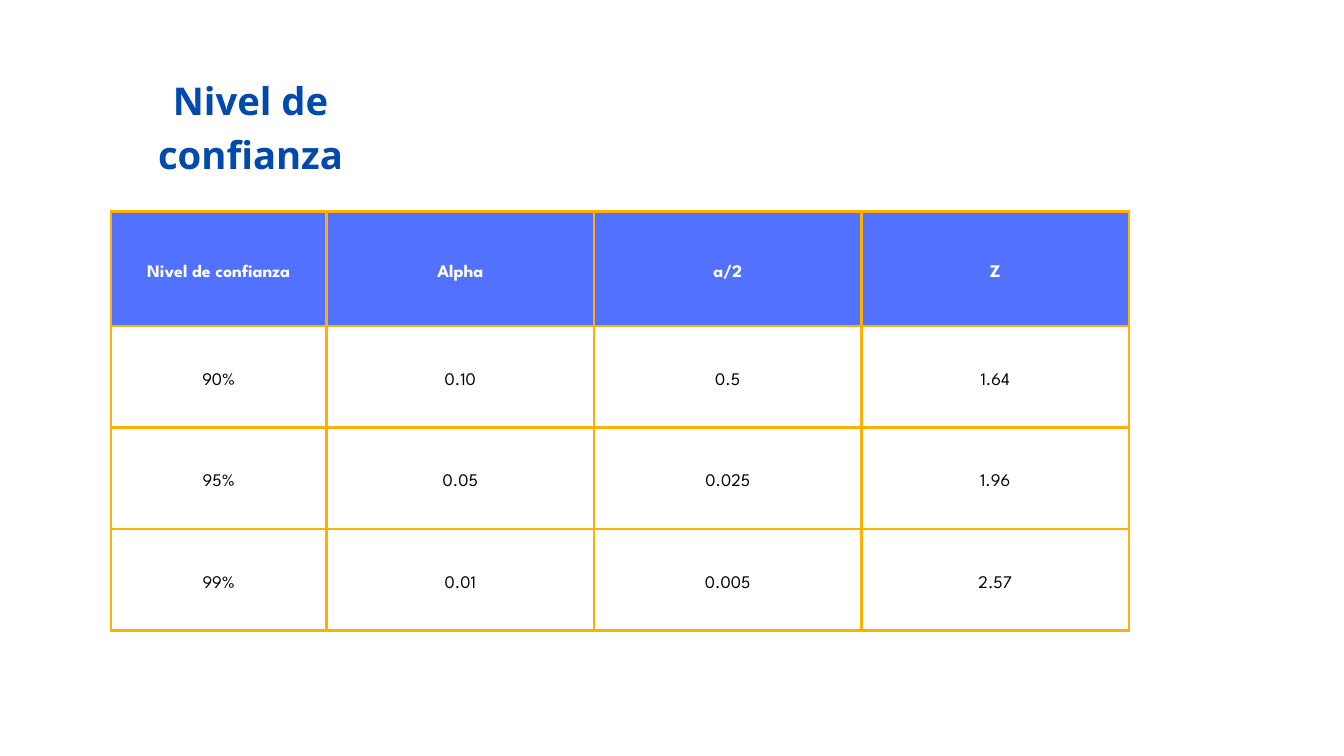
from dataclasses import dataclass

from lxml.etree import SubElement
from pptx import Presentation
from pptx.dml.color import RGBColor
from pptx.enum.text import MSO_ANCHOR as Anchor, MSO_AUTO_SIZE as AutoSize, PP_ALIGN as Align
from pptx.oxml.ns import qn
from pptx.util import Inches, Pt

LINE_RATIO = 1.4
BORDER_WIDTH = Pt(3)
CELL_MARGIN = Inches(0.21)
AMBER = "FFB000"
BLUE = "5271FF"
NAVY = "004AAD"


@dataclass(frozen=True)
class Level:
    confidence: str
    alpha: str
    half_alpha: str
    z: str

    def texts(self) -> tuple[str, ...]:
        return self.confidence, self.alpha, self.half_alpha, self.z


HEADER = Level("Nivel de confianza", "Alpha", "a/2", "Z")
LEVELS = [
    Level("90%", "0.10", "0.5", "1.64"),
    Level("95%", "0.05", "0.025", "1.96"),
    Level("99%", "0.01", "0.005", "2.57"),
]
COLUMN_WIDTHS = [3.21] + [3.98] * 3
ROW_HEIGHTS = [1.7] + [1.51] * len(LEVELS)


def color(value: str) -> RGBColor:
    return RGBColor.from_string(value)


def write(frame, text: str, *, size: float, font: str, ink: str, bold: bool = False) -> None:
    para = frame.paragraphs[0]
    para.alignment = Align.CENTER
    para.line_spacing = Pt(size * LINE_RATIO)
    para.space_before = para.space_after = Pt(0)
    span = para.add_run()
    span.text = text
    span.font.size = Pt(size)
    span.font.name = font
    span.font.bold = bold
    span.font.color.rgb = color(ink)


def draw_borders(cell) -> None:
    properties = cell._tc.get_or_add_tcPr()
    for side in ("lnL", "lnR", "lnT", "lnB"):
        line = SubElement(properties, qn(f"a:{side}"), w=str(BORDER_WIDTH))
        fill = SubElement(line, qn("a:solidFill"))
        SubElement(fill, qn("a:srgbClr"), val=AMBER)


def draw_cell(cell, text: str, is_header: bool) -> None:
    cell.margin_left = cell.margin_right = CELL_MARGIN
    cell.margin_top = cell.margin_bottom = CELL_MARGIN
    cell.vertical_anchor = Anchor.MIDDLE
    draw_borders(cell)
    if is_header:
        cell.fill.solid()
        cell.fill.fore_color.rgb = color(BLUE)
    else:
        cell.fill.background()
    write(cell.text_frame, text, size=19, font="League Spartan",
          ink="FFFFFF" if is_header else "000000", bold=is_header)


def draw_title(page, text: str) -> None:
    box = page.shapes.title
    box.left, box.top = Inches(1.12), Inches(1.04)
    box.width, box.height = Inches(5.22), Inches(0.76)
    frame = box.text_frame
    frame.margin_left = frame.margin_right = frame.margin_top = frame.margin_bottom = 0
    frame.vertical_anchor = Anchor.TOP
    frame.word_wrap = True
    frame.auto_size = AutoSize.SHAPE_TO_FIT_TEXT
    write(frame, text, size=41, font="Open Sans", ink=NAVY, bold=True)


def draw_table(page, levels: list[Level]) -> None:
    table = page.shapes.add_table(
        len(levels), len(COLUMN_WIDTHS), Inches(1.65), Inches(3.15),
        Inches(sum(COLUMN_WIDTHS)), Inches(sum(ROW_HEIGHTS)),
    ).table
    table.first_row = table.horz_banding = False
    for column, width in zip(table.columns, COLUMN_WIDTHS):
        column.width = Inches(width)
    for index, (row, height, level) in enumerate(zip(table.rows, ROW_HEIGHTS, levels)):
        row.height = Inches(height)
        for cell, text in zip(row.cells, level.texts()):
            draw_cell(cell, text, is_header=index == 0)


def main() -> None:
    deck = Presentation()
    deck.slide_width, deck.slide_height = Inches(20), Inches(11.25)
    page = deck.slides.add_slide(deck.slide_layouts.get_by_name("Title Only"))
    draw_title(page, "Nivel de confianza")
    draw_table(page, [HEADER, *LEVELS])
    deck.save("out.pptx")


if __name__ == "__main__":
    main()
